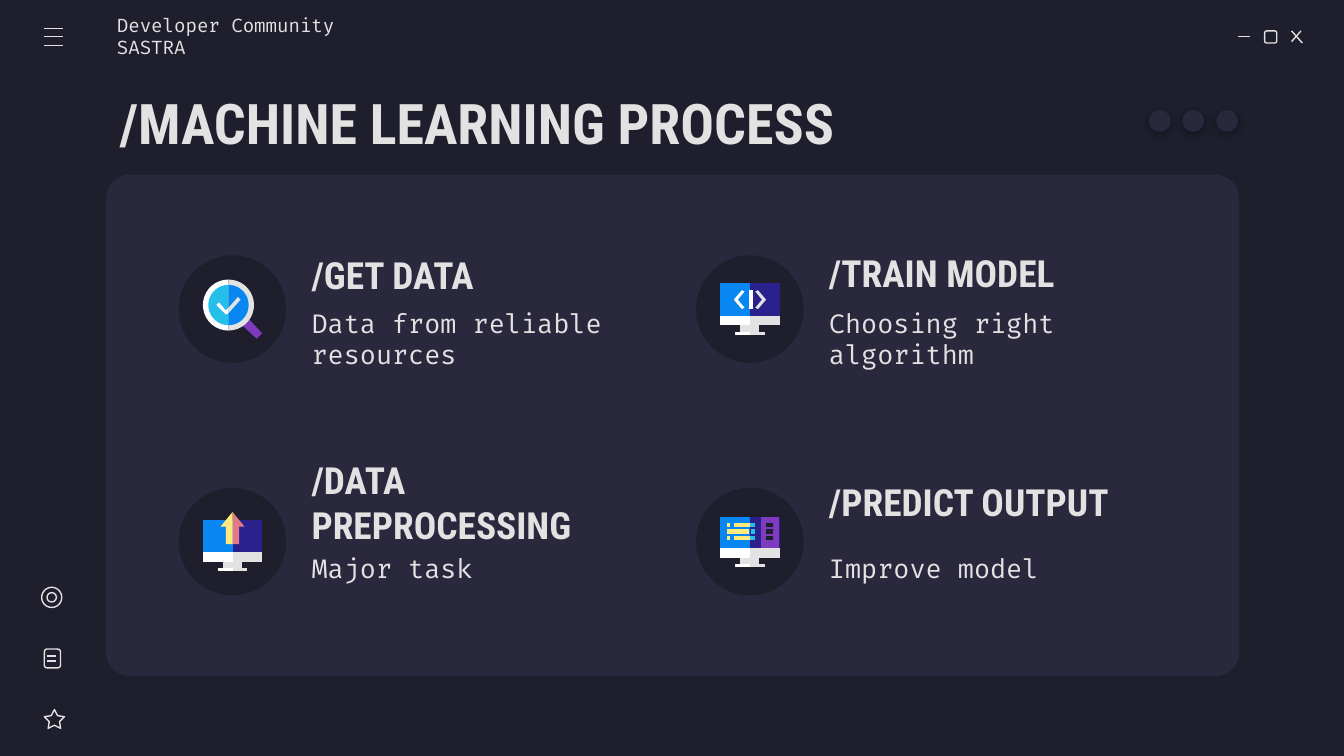
import math

import lxml.etree
import pptx
import pptx.dml.color
import pptx.enum.shapes
import pptx.enum.text
import pptx.oxml.ns
import pptx.util

Inches = pptx.util.Inches
Pt = pptx.util.Pt
SHAPE = pptx.enum.shapes.MSO_SHAPE
COLORS = {
    "background": "1E1E2C", "panel": "29283D", "light": "E2E2E2",
    "white": "FFFFFF", "navy": "2B218D", "blue": "0887F2",
    "cyan": "24BFEB", "purple": "7E3BBE", "yellow": "FFEA7D",
    "pink": "E07A88", "shadow": "000000",
}
HEADING = "Roboto Condensed"
BODY = "Fira Code"


def rgb(name):
    return pptx.dml.color.RGBColor.from_string(COLORS[name])


def half_disc(cx, cy, radius, side):
    angles = [math.radians(a) for a in range(-90, 91, 10)]
    return [(cx + side * radius * math.cos(a), cy + radius * math.sin(a)) for a in angles]


class SlideBuilder:
    def __init__(self, prs):
        self.s = prs.slides.add_slide(prs.slide_layouts[5])
        self.s.background.fill.solid()
        self.s.background.fill.fore_color.rgb = rgb("background")

    def paint(self, sp, fill=None):
        sp.shadow.inherit = False
        if fill:
            sp.fill.solid()
            sp.fill.fore_color.rgb = rgb(fill)
            sp.line.fill.background()
        else:
            sp.fill.background()
            sp.line.color.rgb = rgb("light")
            sp.line.width = Pt(0.75)
        return sp

    def shape(self, kind, x, y, w, h, fill=None, adj=()):
        sp = self.s.shapes.add_shape(kind, Inches(x), Inches(y), Inches(w), Inches(h))
        for i, value in enumerate(adj):
            sp.adjustments[i] = value
        return self.paint(sp, fill)

    def line(self, x1, y1, x2, y2):
        sp = self.s.shapes.add_connector(
            pptx.enum.shapes.MSO_CONNECTOR.STRAIGHT,
            Inches(x1), Inches(y1), Inches(x2), Inches(y2))
        sp.line.color.rgb = rgb("light")
        sp.line.width = Pt(0.75)
        lxml.etree.SubElement(sp._element.spPr, pptx.oxml.ns.qn("a:effectLst"))

    def polygon(self, points, fill):
        emu = [(Inches(x), Inches(y)) for x, y in points]
        fb = self.s.shapes.build_freeform(*emu[0])
        fb.add_line_segments(emu[1:], close=True)
        self.paint(fb.convert_to_shape(), fill)

    def block(self, x1, y1, x2, y2, fill):
        self.polygon([(x1, y1), (x2, y1), (x2, y2), (x1, y2)], fill)

    def text(self, text, x, y, w, h, size, font=BODY, bold=False, left=0.1, sp=None):
        box = [Inches(v) for v in (x, y, w, h)]
        if sp is None:
            sp = self.s.shapes.add_textbox(*box)
        sp.left, sp.top, sp.width, sp.height = box
        tf = sp.text_frame
        tf.text = text
        tf.word_wrap = True
        tf.auto_size = pptx.enum.text.MSO_AUTO_SIZE.NONE
        tf.vertical_anchor = pptx.enum.text.MSO_ANCHOR.MIDDLE
        tf.margin_left = Inches(left)
        tf.margin_top = tf.margin_right = tf.margin_bottom = Inches(0.1)
        p = tf.paragraphs[0]
        p.alignment = pptx.enum.text.PP_ALIGN.LEFT
        r = p.runs[0]
        r.font.name = font
        r.font.size = Pt(size)
        r.font.bold = bold
        r.font.color.rgb = rgb("light")

    def dot(self, x, y):
        sp = self.shape(SHAPE.OVAL, x, y, 0.16, 0.16, "panel")
        effects = sp._element.spPr.find(pptx.oxml.ns.qn("a:effectLst"))
        shadow = lxml.etree.SubElement(
            effects, pptx.oxml.ns.qn("a:outerShdw"), blurRad=str(Pt(4.5)),
            dist=str(Pt(1.5)), dir="5400000", algn="bl", rotWithShape="0")
        color = lxml.etree.SubElement(shadow, pptx.oxml.ns.qn("a:srgbClr"), val=COLORS["shadow"])
        lxml.etree.SubElement(color, pptx.oxml.ns.qn("a:alpha"), val="30000")

    def monitor(self, cx, top, base):
        self.block(cx, top, cx + 0.22, base, "navy")
        self.block(cx - 0.22, top, cx, base, "blue")
        self.block(cx - 0.07, base + 0.06, cx + 0.07, base + 0.13, "light")
        for side, fill in ((1, "light"), (-1, "white")):
            self.block(cx, base + 0.12, cx + side * 0.11, base + 0.14, fill)
            self.block(cx, base, cx + side * 0.22, base + 0.07, fill)

    def search_icon(self, cx, cy):
        self.polygon([(cx + 0.13, cy + 0.08), (cx + 0.08, cy + 0.13),
                      (cx + 0.21, cy + 0.25), (cx + 0.25, cy + 0.21)], "purple")
        for radius, right, left in ((0.19, "light", "white"), (0.15, "blue", "cyan")):
            self.polygon(half_disc(cx, cy, radius, 1), right)
            self.polygon(half_disc(cx, cy, radius, -1), left)
        self.polygon([(cx + 0.07, cy - 0.06), (cx, cy + 0.02),
                      (cx, cy + 0.06), (cx + 0.09, cy - 0.04)], "light")
        self.polygon([(cx - 0.07, cy - 0.02), (cx - 0.09, cy), (cx - 0.02, cy + 0.07),
                      (cx, cy + 0.06), (cx, cy + 0.02), (cx - 0.02, cy + 0.04)], "white")

    def code_icon(self, cx, top):
        self.monitor(cx, top, top + 0.24)
        mid = top + 0.12
        for side, fill in ((-1, "white"), (1, "light")):
            chevron = [(0.06, -0.07), (0.12, 0), (0.06, 0.07),
                       (0.04, 0.06), (0.09, 0), (0.04, -0.06)]
            self.polygon([(cx + side * x, mid + y) for x, y in chevron], fill)
        self.block(cx - 0.01, mid - 0.07, cx + 0.02, mid + 0.07, "white")

    def upload_icon(self, cx, top):
        self.monitor(cx, top, top + 0.24)
        arrow = [(0, -0.06), (0.09, 0.05), (0.05, 0.05), (0.05, 0.18), (0, 0.18)]
        for side, fill in ((1, "pink"), (-1, "yellow")):
            self.polygon([(cx + side * x, top + y) for x, y in arrow], fill)

    def output_icon(self, cx, top):
        self.monitor(cx, top, top + 0.23)
        self.block(cx + 0.08, top, cx + 0.22, top + 0.23, "purple")
        wide = [(-0.17, -0.15, "yellow"), (-0.12, 0, "yellow"), (0, 0.04, "cyan")]
        shifted = [(-0.17, -0.01, "yellow"), (0.01, 0.04, "cyan")]
        for i, spans in enumerate((wide, shifted, wide)):
            y = top + 0.04 + i * 0.05
            for x1, x2, fill in spans + [(0.12, 0.17, "background")]:
                self.block(cx + x1, y, cx + x2, y + 0.03, fill)


def main():
    prs = pptx.Presentation()
    prs.slide_width = Inches(10)
    prs.slide_height = prs.slide_width * 9 // 16
    b = SlideBuilder(prs)

    b.shape(SHAPE.ROUNDED_RECTANGLE, 0.79, 1.3, 8.43, 3.73, "panel", [0.047])
    b.line(9.21, 0.27, 9.3, 0.27)
    b.shape(SHAPE.ROUNDED_RECTANGLE, 9.41, 0.23, 0.09, 0.09)
    b.line(9.61, 0.23, 9.69, 0.32)
    b.line(9.68, 0.23, 9.61, 0.31)
    for y in (0.21, 0.27, 0.34):
        b.line(0.33, y, 0.47, y)

    b.shape(SHAPE.STAR_5_POINT, 0.33, 5.28, 0.15, 0.14, adj=[0.254, 1.051, 1.106])
    b.shape(SHAPE.ROUNDED_RECTANGLE, 0.33, 4.83, 0.12, 0.14)
    for y in (4.88, 4.92):
        b.line(0.35, y, 0.42, y)
    b.shape(SHAPE.OVAL, 0.31, 4.37, 0.15, 0.15)
    b.shape(SHAPE.OVAL, 0.35, 4.41, 0.07, 0.07)

    b.text("/MACHINE LEARNING PROCESS", 0.79, 0.59, 8.43, 0.63, 30, HEADING, True,
           sp=b.s.shapes.title)
    b.text("Developer Community SASTRA", 0.87, 0.12, 2.15, 0.3, 10, left=0)

    steps = [
        (1.33, 1.9, 1.83, 2.24, "/GET DATA", "Data from reliable resources"),
        (5.18, 1.9, 1.81, 2.24, "/TRAIN MODEL", "Choosing right algorithm"),
        (1.33, 3.63, 3.52, 3.95, "/DATA PREPROCESSING", "Major task"),
        (5.18, 3.63, 3.52, 3.95, "/PREDICT OUTPUT", "Improve model"),
    ]
    for x, y, heading_y, body_y, heading, body in steps:
        b.shape(SHAPE.OVAL, x, y, 0.8, 0.8, "background")
        b.text(heading, x + 0.89, heading_y, 2.73, 0.43, 20, HEADING, True)
        b.text(body, x + 0.89, body_y, 2.73, 0.56, 14)

    b.search_icon(1.7, 2.27)
    b.code_icon(5.58, 2.11)
    b.upload_icon(1.73, 3.87)
    b.output_icon(5.58, 3.85)
    for i in range(3):
        b.dot(8.55 + i * 0.25, 0.82)
    prs.save("out.pptx")


if __name__ == "__main__":
    main()
